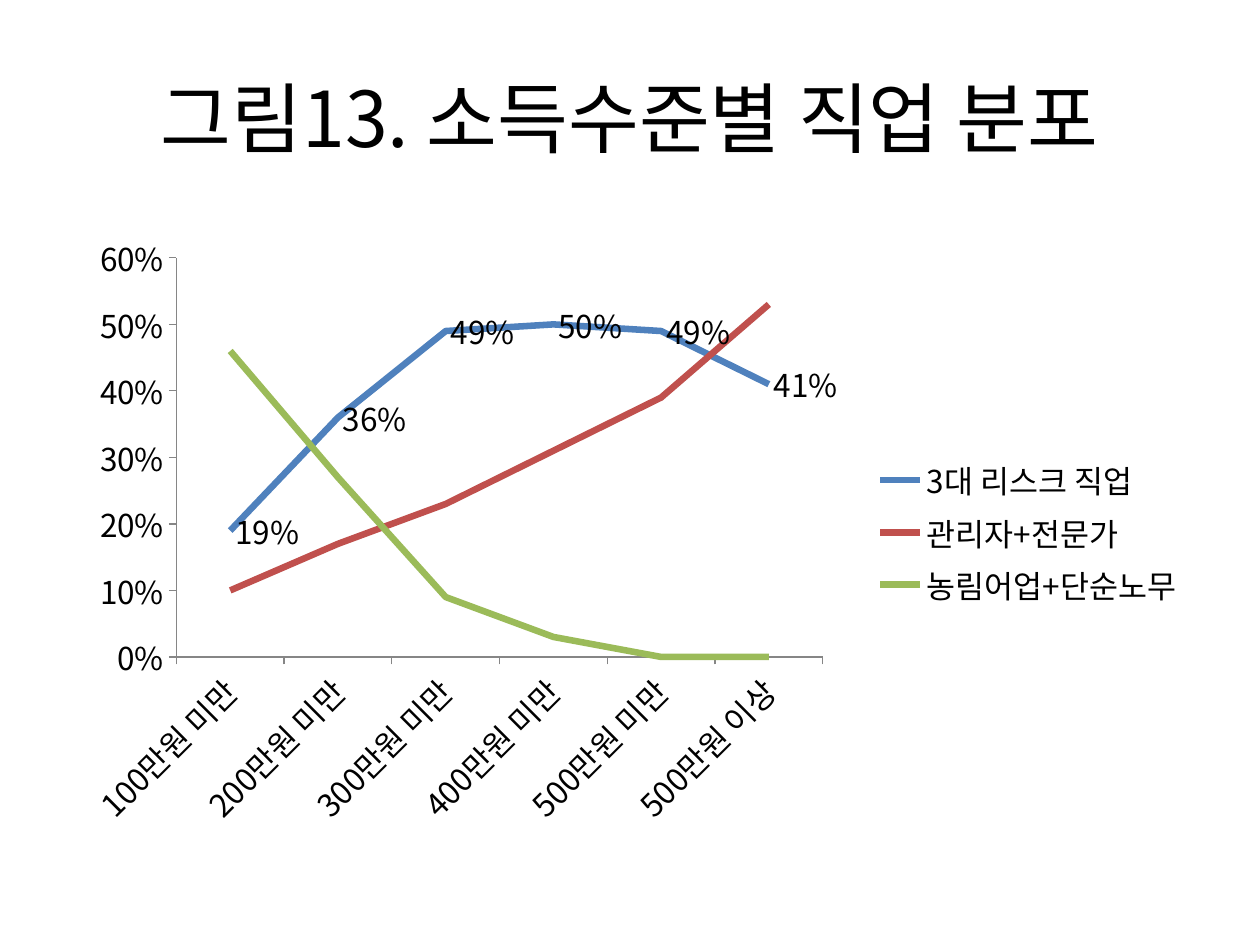
from lxml import etree
from pptx import Presentation
from pptx import util as u
from pptx.chart.data import CategoryChartData
from pptx.dml.color import RGBColor
from pptx.enum import chart as charts, text
from pptx.oxml.ns import qn

FONT = "Noto Sans CJK KR"
BLACK, AXIS_GREY = "000000", "868686"
WIDTH, HEIGHT = u.Inches(10), u.Inches(7.5)
MARGIN = 0.05  # share of the slide width

INCOMES = [f"{limit}만원 미만" for limit in range(100, 600, 100)] + ["500만원 이상"]
JOBS = [
    ("3대 리스크 직업", "4F81BD", (0.19, 0.36, 0.49, 0.50, 0.49, 0.41)),
    ("관리자+전문가", "C0504D", (0.10, 0.17, 0.23, 0.31, 0.39, 0.53)),
    ("농림어업+단순노무", "9BBB59", (0.46, 0.27, 0.09, 0.03, 0, 0)),
]


def colour(value):
    """Turn a hex string into a colour."""
    return RGBColor.from_string(value)


def box(top, height):
    """Return left, top, width, height of a band between the margins."""
    return (int(WIDTH * MARGIN), int(HEIGHT * top),
            int(WIDTH * (1 - 2 * MARGIN)), int(HEIGHT * height))


def style_font(font, size):
    """Set the typeface, size and colour of a font."""
    font.name, font.size = FONT, u.Pt(size)
    font.color.rgb = colour(BLACK)


def add_title(slide, wording):
    """Fill and place the title placeholder."""
    title = slide.shapes.title
    title.left, title.top, title.width, title.height = box(0.04, 1 / 6)
    title.text_frame.text = wording
    title.text_frame.vertical_anchor = text.MSO_ANCHOR.MIDDLE
    paragraph = title.text_frame.paragraphs[0]
    paragraph.alignment = text.PP_ALIGN.CENTER
    style_font(paragraph.font, 44)
    for run in paragraph.runs:
        properties = run._r.get_or_add_rPr()
        etree.SubElement(properties, qn("a:ea")).set("typeface", FONT)


def style_axis(axis):
    """Give an axis a thin grey line and outside ticks."""
    axis.has_major_gridlines = False
    axis.major_tick_mark = charts.XL_TICK_MARK.OUTSIDE
    axis.format.line.color.rgb = colour(AXIS_GREY)
    axis.format.line.width = u.Pt(0.75)
    style_font(axis.tick_labels.font, 18)


def place_plot(chart, **shares):
    """Place the inner plot area by shares of the chart's size."""
    area = chart._chartSpace.chart.plotArea
    for layout in area.findall(qn("c:layout")):
        area.remove(layout)
    layout = etree.Element(qn("c:layout"))
    manual = etree.SubElement(layout, qn("c:manualLayout"))
    settings = {"layoutTarget": "inner", "xMode": "edge", "yMode": "edge", **shares}
    for name, value in settings.items():
        etree.SubElement(manual, qn(f"c:{name}")).set("val", str(value))
    area.insert(0, layout)


def label_points(series):
    """Show percentages to the right of the points."""
    labels = series.data_labels
    labels.show_value = True
    labels.number_format, labels.number_format_is_linked = "0%", False
    labels.position = charts.XL_LABEL_POSITION.RIGHT
    style_font(labels.font, 18)


def add_line_chart(slide):
    """Add the chart of job shares by income."""
    data = CategoryChartData(number_format="0%")
    data.categories = INCOMES
    for name, _, values in JOBS:
        data.add_series(name, values)
    chart = slide.shapes.add_chart(
        charts.XL_CHART_TYPE.LINE, *box(1.75 / 7.5, 0.66), data).chart
    style_font(chart.font, 18)
    chart.has_title = False
    chart.has_legend = True
    chart.legend.position = charts.XL_LEGEND_POSITION.RIGHT
    chart.legend.include_in_layout = False
    style_font(chart.legend.font, 18)

    for axis in (chart.category_axis, chart.value_axis):
        style_axis(axis)
    chart.category_axis._element.txPr.bodyPr.set("rot", str(-45 * 60000))
    values = chart.value_axis
    values.minimum_scale, values.maximum_scale, values.major_unit = 0, 0.6, 0.1
    values.tick_labels.number_format = "0%"
    values.tick_labels.number_format_is_linked = False

    for series, (_, line_colour, _) in zip(chart.plots[0].series, JOBS):
        series.smooth = False
        series.marker.style = charts.XL_MARKER_STYLE.NONE
        series.format.line.color.rgb = colour(line_colour)
        series.format.line.width = u.Pt(3.75)
    label_points(chart.plots[0].series[0])
    place_plot(chart, x=0.1, y=0.06, w=0.57, h=0.64)


def main():
    """Build the slide and save it."""
    presentation = Presentation()
    presentation.slide_width, presentation.slide_height = WIDTH, HEIGHT
    slide = presentation.slides.add_slide(presentation.slide_layouts[5])
    add_title(slide, "그림13. 소득수준별 직업 분포")
    add_line_chart(slide)
    presentation.save("out.pptx")


main()
